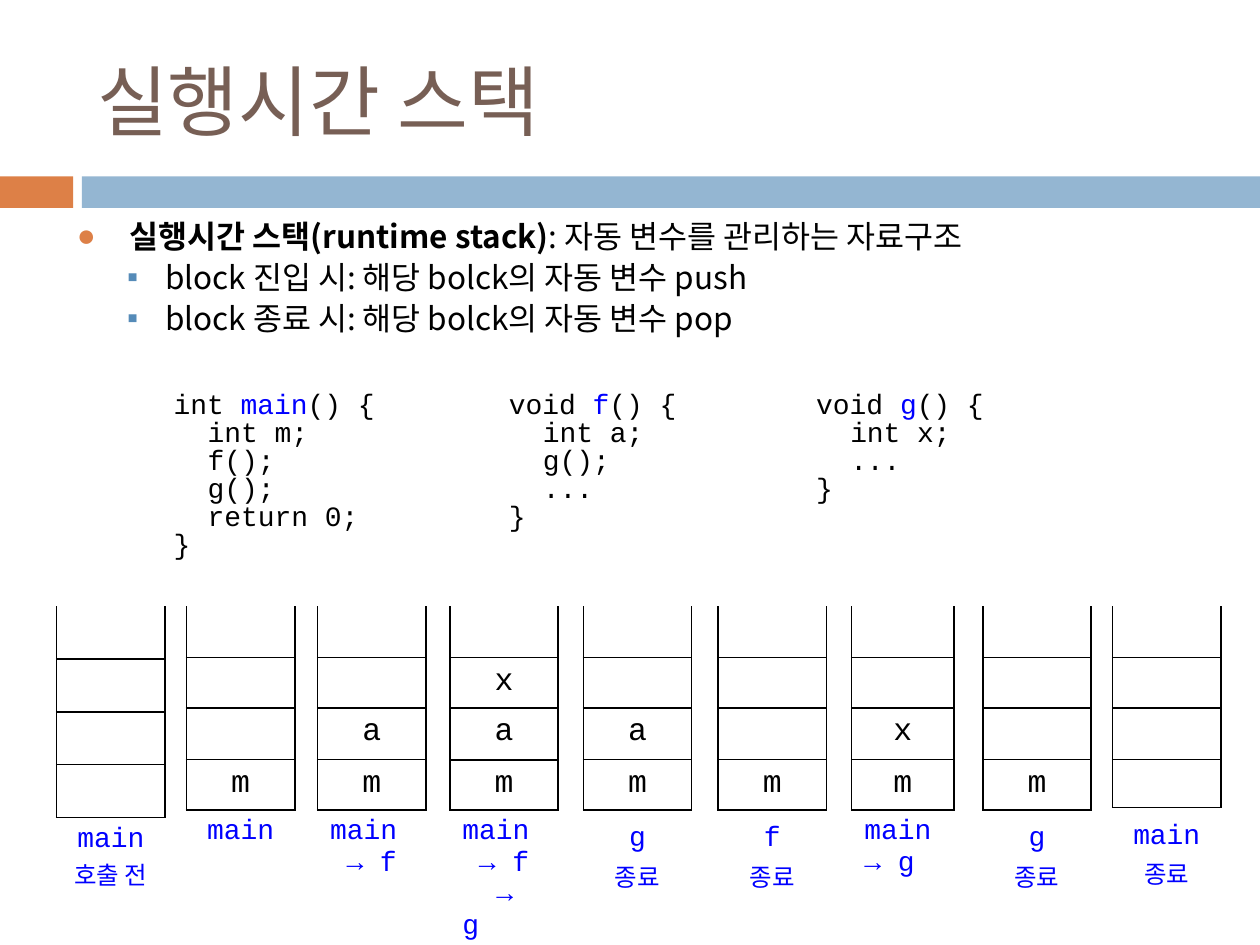
"""Build the slide on the runtime stack and its state after each call."""
from dataclasses import dataclass
from typing import Any, Optional

from lxml import etree
from pptx import Presentation
from pptx.dml.color import RGBColor
from pptx.enum import shapes, text
from pptx.oxml.ns import qn
from pptx.util import Inches, Pt


@dataclass(frozen=True)
class Theme:
    title: str = "775F55"
    accent: str = "DD8047"
    band: str = "94B6D2"
    sub_bullet: str = "558BB8"
    ink: str = "000000"
    keyword: str = "0000FF"
    sans: str = "Noto Sans CJK KR"
    heading: str = "Cabin"
    mono: str = "Courier New"
    title_size: int = 44
    body_size: int = 18
    code_size: int = 16
    note_size: int = 14


THEME = Theme()


@dataclass(frozen=True)
class Style:
    size: int
    font: str
    color: str = THEME.ink
    bold: bool = False


HEADING = Style(THEME.title_size, THEME.heading, THEME.title)
BODY = Style(THEME.body_size, THEME.sans)
TERM = Style(THEME.body_size, THEME.sans, bold=True)
CODE = Style(THEME.code_size, THEME.mono)
CALL = Style(THEME.code_size, THEME.mono, THEME.keyword)
NOTE = Style(THEME.note_size, THEME.sans, THEME.keyword)
VARIABLE = Style(THEME.body_size, THEME.mono)


@dataclass(frozen=True)
class Point:
    runs: tuple
    level: int
    left: float
    hang: float
    before: float
    bullet: str
    color: str


@dataclass(frozen=True)
class Function:
    left: float
    width: float
    kind: str
    name: str
    statements: tuple


@dataclass(frozen=True)
class Stack:
    left: float
    variables: str
    caption: tuple
    centered: bool = True
    spacing: Optional[int] = 22
    width: float = 0.86
    rows: tuple = (0.41, 0.4, 0.41, 0.38)


POINTS = (
    Point((("실행시간 스택(runtime stack)", TERM), (": 자동 변수를 관리하는 자료구조", BODY)),
          0, 0.42, 0.42, 7, "●", THEME.accent),
    *(Point(((f"block {moment} 시: 해당 bolck의 자동 변수 {action}", BODY),),
            1, 0.7, 0.3, 5.5, "▪", THEME.sub_bullet)
      for moment, action in (("진입", "push"), ("종료", "pop"))),
)
FUNCTIONS = (
    Function(1.28, 2.18, "int", "main", ("int m;", "f();", "g();", "return 0;")),
    Function(3.94, 1.96, "void", "f", ("int a;", "g();", "...")),
    Function(6.38, 1.96, "void", "g", ("int x;", "...")),
)
STACKS = (
    Stack(0.45, "", (("main", CALL, 0), ("호출 전", NOTE, 0)), spacing=None, rows=(0.42,) * 4),
    Stack(1.48, "m", (("main", CALL, 0),), spacing=18),
    Stack(2.52, "ma", (("main", CALL, 0), ("→ f", CALL, 0.13)), False, 18),
    Stack(3.57, "max", (("main", CALL, 0), ("→ f", CALL, 0.13), ("→ g", CALL, 0.27)), False, 18),
    Stack(4.63, "ma", (("g", CALL, 0), ("종료", NOTE, 0))),
    Stack(5.7, "m", (("f", CALL, 0), ("종료", NOTE, 0))),
    Stack(6.76, "mx", (("main", CALL, 0), ("→ g", CALL, 0)), False, 18, width=0.81),
    Stack(7.8, "m", (("g", CALL, 0), ("종료", NOTE, 0))),
    Stack(8.83, "", (("main", CALL, 0), ("종료", NOTE, 0))),
)


def apply(target: Any, values: dict) -> None:
    """Set each named attribute on the target."""
    for name, value in values.items():
        setattr(target, name, value)


def place(item: Any, left: float, top: float, width: float, height: float) -> None:
    """Move and size an item, in inches."""
    apply(item, {"left": Inches(left), "top": Inches(top),
                 "width": Inches(width), "height": Inches(height)})


def write(paragraph: Any, words: str, style: Style) -> None:
    """Add a styled run to a paragraph."""
    run = paragraph.add_run()
    run.text = words
    apply(run.font, {"size": Pt(style.size), "name": style.font, "bold": style.bold})
    run.font.color.rgb = RGBColor.from_string(style.color)
    east_asian = etree.Element(qn("a:ea"), typeface=THEME.sans)
    run.font._element.find(qn("a:latin")).addnext(east_asian)


def indent(paragraph: Any, left: float, first: float) -> Any:
    """Set the indents of a paragraph and return its properties."""
    properties = paragraph._p.get_or_add_pPr()
    properties.set("marL", str(Inches(left)))
    properties.set("indent", str(Inches(first)))
    return properties


def next_paragraph(frame: Any, index: int) -> Any:
    """Return the first paragraph or append another."""
    return frame.paragraphs[0] if index == 0 else frame.add_paragraph()


def draw_band(slide: Any, left: float, width: float, color: str) -> None:
    """Draw one part of the band below the title."""
    band = slide.shapes.add_shape(shapes.MSO_SHAPE.RECTANGLE, Inches(left), Inches(1.4),
                                  Inches(width), Inches(0.25))
    band.shadow.inherit = False
    band.fill.solid()
    band.fill.fore_color.rgb = RGBColor.from_string(color)
    band.line.fill.background()


def draw_points(body: Any) -> None:
    """Fill the body placeholder with the bulleted points."""
    frame = body.text_frame
    apply(frame, {"auto_size": text.MSO_AUTO_SIZE.NONE, "vertical_anchor": text.MSO_ANCHOR.TOP})
    for index, point in enumerate(POINTS):
        paragraph = next_paragraph(frame, index)
        apply(paragraph, {"level": point.level, "space_before": Pt(point.before),
                          "line_spacing": 0.83})
        properties = indent(paragraph, point.left, -point.hang)
        tint = etree.SubElement(properties, qn("a:buClr"))
        etree.SubElement(tint, qn("a:srgbClr"), val=point.color)
        etree.SubElement(properties, qn("a:buChar"), char=point.bullet)
        for words, style in point.runs:
            write(paragraph, words, style)


def draw_function(slide: Any, function: Function) -> None:
    """Write the source of one function."""
    frame = slide.shapes.add_textbox(Inches(function.left), Inches(3.06),
                                     Inches(function.width), Inches(1.49)).text_frame
    frame.word_wrap = True
    head = ((f"{function.kind} ", CODE), (function.name, CALL), ("() {", CODE))
    inner = [(0.27, ((statement, CODE),)) for statement in function.statements]
    for index, (left, runs) in enumerate([(0, head), *inner, (0, (("}", CODE),))]):
        paragraph = next_paragraph(frame, index)
        paragraph.line_spacing = Pt(16)
        indent(paragraph, left, 0)
        for words, style in runs:
            write(paragraph, words, style)


def set_borders(cell: Any, sides: str) -> None:
    """Draw the named sides of a cell and hide the others."""
    properties = cell._tc.get_or_add_tcPr()
    for index, side in enumerate("LRTB"):
        line = etree.Element(qn(f"a:ln{side}"), w=str(Pt(1)))
        if side in sides:
            paint = etree.SubElement(line, qn("a:solidFill"))
            etree.SubElement(paint, qn("a:srgbClr"), val=THEME.ink)
        else:
            etree.SubElement(line, qn("a:noFill"))
        properties.insert(index, line)


def draw_stack(slide: Any, stack: Stack) -> None:
    """Draw one stack with its variables and caption."""
    heights = (*stack.rows, 0.2)
    table = slide.shapes.add_table(len(heights), 1, Inches(stack.left), Inches(4.81),
                                   Inches(stack.width), Inches(sum(heights))).table
    apply(table, {"first_row": False, "horz_banding": False})
    slots = len(stack.rows)
    for index, height in enumerate(heights):
        table.rows[index].height = Inches(height)
        cell = table.cell(index, 0)
        cell.fill.background()
        set_borders(cell, "LRB" if index == 0 else "LRTB" if index < slots else "T")
        depth = slots - 1 - index
        if 0 <= depth < len(stack.variables):
            paragraph = cell.text_frame.paragraphs[0]
            paragraph.alignment = text.PP_ALIGN.CENTER
            write(paragraph, stack.variables[depth], VARIABLE)
        elif depth >= 0:
            apply(cell, {"margin_top": 0, "margin_bottom": 0})
    for index, (words, style, first) in enumerate(stack.caption):
        paragraph = next_paragraph(table.cell(slots, 0).text_frame, index)
        align = text.PP_ALIGN.CENTER if stack.centered else text.PP_ALIGN.LEFT
        apply(paragraph, {"alignment": align,
                          "line_spacing": Pt(stack.spacing) if stack.spacing else None})
        indent(paragraph, 0, first)
        write(paragraph, words, style)


def main() -> None:
    """Build and save the slide."""
    deck = Presentation()
    apply(deck, {"slide_width": Inches(10), "slide_height": Inches(7.5)})
    slide = deck.slides.add_slide(deck.slide_layouts[1])
    title, body = slide.placeholders
    place(title, 0.67, 0.25, 8.92, 1.08)
    place(body, 0.51, 1.72, 9.23, 1.23)
    title.text_frame.vertical_anchor = text.MSO_ANCHOR.MIDDLE
    heading = title.text_frame.paragraphs[0]
    heading.alignment = text.PP_ALIGN.LEFT
    write(heading, "실행시간 스택", HEADING)
    draw_band(slide, 0, 0.58, THEME.accent)
    draw_band(slide, 0.65, 9.35, THEME.band)
    draw_points(body)
    for function in FUNCTIONS:
        draw_function(slide, function)
    for stack in STACKS:
        draw_stack(slide, stack)
    deck.save("out.pptx")


if __name__ == "__main__":
    main()
